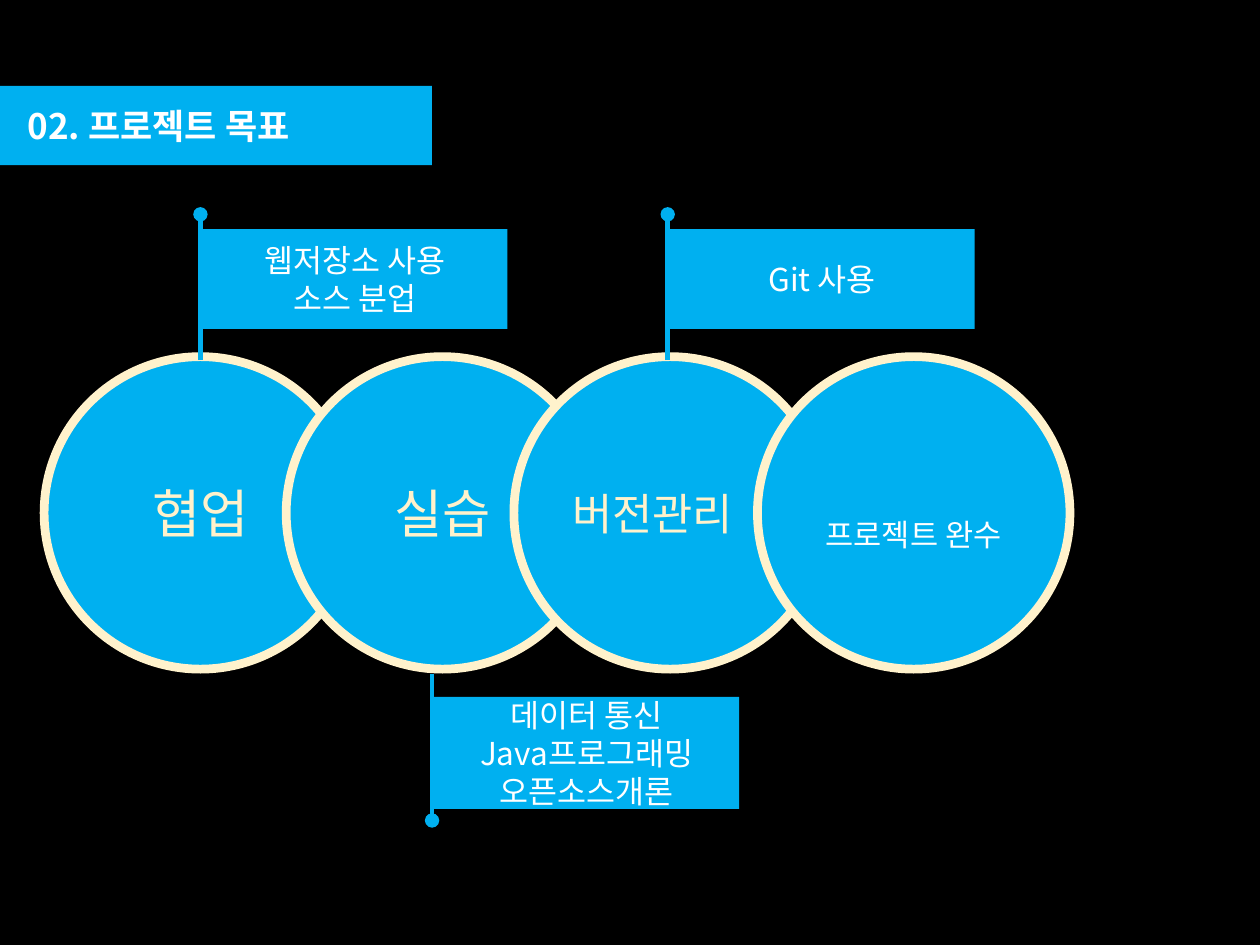
from dataclasses import dataclass

from lxml import etree
from pptx import Presentation
from pptx.dml.color import RGBColor
from pptx.enum.shapes import MSO_CONNECTOR, MSO_SHAPE
from pptx.enum.text import MSO_ANCHOR, MSO_AUTO_SIZE, PP_ALIGN
from pptx.oxml.ns import qn
from pptx.util import Cm, Pt

RECTANGLE, OVAL = MSO_SHAPE.RECTANGLE, MSO_SHAPE.OVAL
STRAIGHT = MSO_CONNECTOR.STRAIGHT
TOP, MIDDLE = MSO_ANCHOR.TOP, MSO_ANCHOR.MIDDLE
LEFT, CENTER = PP_ALIGN.LEFT, PP_ALIGN.CENTER
NO_AUTOFIT = MSO_AUTO_SIZE.NONE


@dataclass(frozen=True)
class Theme:
    font: str = "Noto Sans CJK KR"
    background: RGBColor = RGBColor(0x00, 0x00, 0x00)
    accent: RGBColor = RGBColor(0x00, 0xB0, 0xF0)
    cream: RGBColor = RGBColor(0xFF, 0xF2, 0xCC)
    white: RGBColor = RGBColor(0xFF, 0xFF, 0xFF)
    title_size: float = 20
    flag_size: float = 18
    ring_width: float = 5
    pole_width: float = 2.75


THEME = Theme()

TITLE = "02. 프로젝트 목표"

# text, left, type size, colour, alignment, extra top inset
GOALS = [
    ("협업", 0.89, 30, THEME.cream, CENTER, 0),
    ("실습", 5.77, 30, THEME.cream, CENTER, 0),
    ("버전관리", 10.36, 25, THEME.cream, LEFT, 0),
    ("프로젝트 완수", 15.27, 17.5, THEME.white, CENTER, 0.85),
]
CIRCLE_TOP, CIRCLE_SIZE = 7.19, 6.3

# lines, pole position, pole start (at the circle), pole end, flag top, flag height
FLAGS = [
    (["웹저장소 사용", "소스 분업"], 4.04, 7.26, 4.32, 4.62, 2.01),
    (["Git 사용"], 13.46, 7.26, 4.32, 4.62, 2.01),
    (["데이터 통신", "Java프로그래밍", "오픈소스개론"], 8.71, 13.59, 16.54, 14.05, 2.26),
]
FLAG_WIDTH, FLAG_GAP = 6.15, 0.04


def write(shape, lines, size, color, alignment=CENTER, anchor=MIDDLE, bold=False):
    frame = shape.text_frame
    frame.text = "\n".join(lines)
    frame.word_wrap = True
    frame.auto_size = NO_AUTOFIT
    frame.vertical_anchor = anchor
    for paragraph in frame.paragraphs:
        paragraph.alignment = alignment
        for run in paragraph.runs:
            run.font.name = THEME.font
            run.font.size = Pt(size)
            run.font.bold = bold
            run.font.color.rgb = color
            # Korean glyphs take the East Asian typeface
            east_asian = etree.SubElement(run.font._element, qn("a:ea"))
            east_asian.set("typeface", THEME.font)


def add_filled(slide, kind, left, top, width, height):
    shape = slide.shapes.add_shape(kind, Cm(left), Cm(top), Cm(width), Cm(height))
    shape.shadow.inherit = False
    shape.fill.solid()
    shape.fill.fore_color.rgb = THEME.accent
    shape.line.fill.background()
    return shape


def add_title(slide):
    add_filled(slide, RECTANGLE, -0.89, 1.73, 9.6, 1.6)
    title = slide.shapes.title
    title.left, title.top, title.width, title.height = Cm(0.3), Cm(1.98), Cm(9.8), Cm(1.12)
    write(title, [TITLE], THEME.title_size, THEME.white, LEFT, TOP, bold=True)
    slide.shapes._spTree.append(title._element)  # bring in front of the banner


def add_goal(slide, text, left, size, color, alignment, extra_inset):
    circle = add_filled(slide, OVAL, left, CIRCLE_TOP, CIRCLE_SIZE, CIRCLE_SIZE)
    circle.line.color.rgb = THEME.cream
    circle.line.width = Pt(THEME.ring_width)
    write(circle, [text], size, color, alignment)
    circle.text_frame.margin_top += Cm(extra_inset)


def add_pole(slide, x, start, end):
    """Draw a vertical line with a round knob at its free end."""
    pole = slide.shapes.add_connector(STRAIGHT, Cm(x), Cm(start), Cm(x), Cm(end))
    pole.line.color.rgb = THEME.accent
    pole.line.width = Pt(THEME.pole_width)
    etree.SubElement(pole.line._get_or_add_ln(), qn("a:tailEnd")).set("type", "oval")
    etree.SubElement(pole._element.spPr, qn("a:effectLst"))


def add_flag(slide, lines, x, start, end, top, height):
    add_pole(slide, x, start, end)
    flag = add_filled(slide, RECTANGLE, x + FLAG_GAP, top, FLAG_WIDTH, height)
    write(flag, lines, THEME.flag_size, THEME.white)


def main():
    presentation = Presentation()
    presentation.slide_width, presentation.slide_height = Cm(25.4), Cm(19.05)
    slide = presentation.slides.add_slide(presentation.slide_layouts.get_by_name("Title Only"))
    slide.background.fill.solid()
    slide.background.fill.fore_color.rgb = THEME.background
    add_title(slide)
    for goal in GOALS:
        add_goal(slide, *goal)
    for flag in FLAGS:
        add_flag(slide, *flag)
    presentation.save("out.pptx")


if __name__ == "__main__":
    main()
